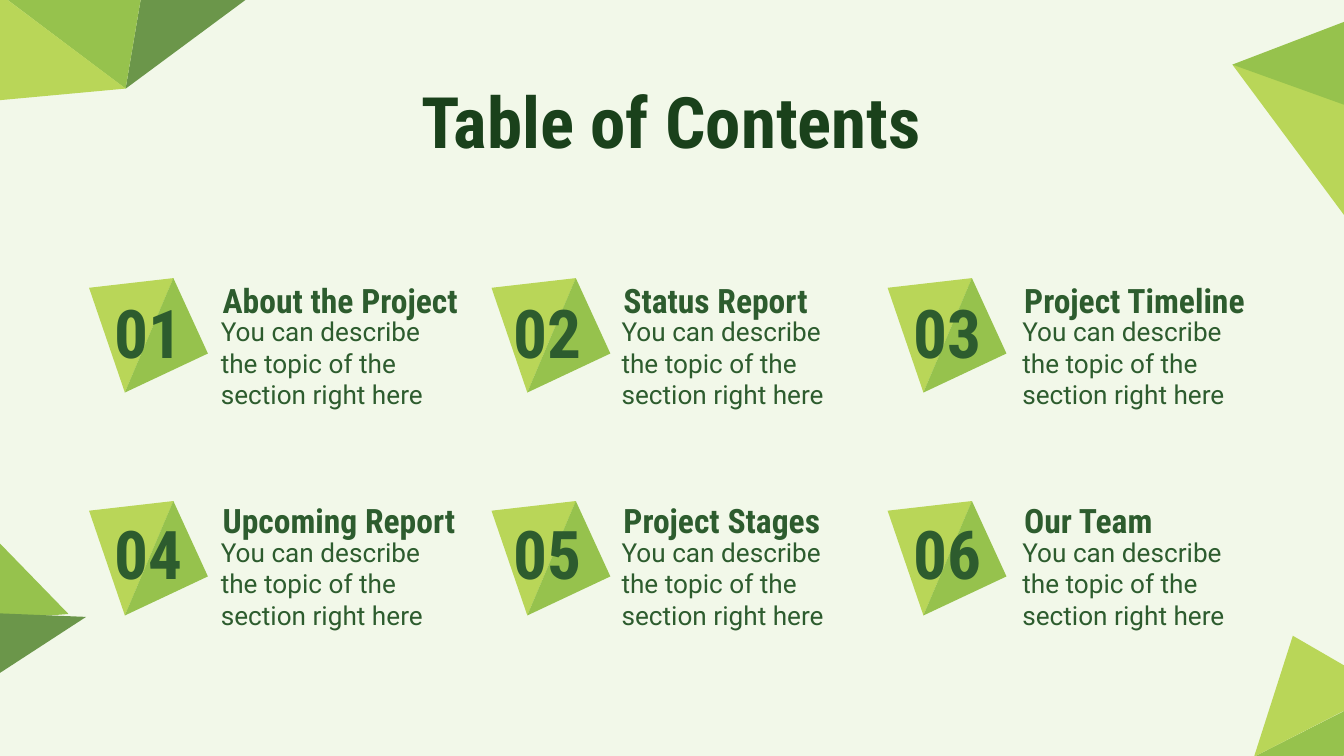
import dataclasses
import typing

import pptx
import pptx.dml.color
import pptx.enum.text
import pptx.util

Pt = pptx.util.Pt
Align = pptx.enum.text.PP_ALIGN
Anchor = pptx.enum.text.MSO_ANCHOR

COLORS = {
    "background": "F2F8E9",
    "lime": "B9D658",
    "leaf": "96C24D",
    "moss": "6B964A",
    "text": "2D5C2E",
    "title": "1A411B",
}
HEADING_FONT = "Roboto Condensed"
BODY_FONT = "Roboto"
DESCRIPTION = "You can describe the topic of the section right here"

Point = tuple[float, float]


@dataclasses.dataclass(frozen=True)
class Facet:
    color: str
    points: tuple[Point, ...]


@dataclasses.dataclass(frozen=True)
class TextStyle:
    font: str
    size: float
    color: str = "text"
    bold: bool = True
    align: Align = Align.LEFT
    anchor: Anchor = Anchor.MIDDLE
    line_spacing: float = 1.0
    space_after: float = 0


@dataclasses.dataclass(frozen=True)
class Area:
    left: float
    top: float
    width: float
    height: float


CORNER_FACETS = (
    Facet("leaf", ((705.6, 431.3), (737.3, 372.2), (671.8, 405.4))),
    Facet("lime", ((762.5, 57.6), (722.2, 118.1), (660.2, 34.6))),
    Facet("leaf", ((758.2, -2.9), (758.2, 69.8), (660.2, 34.6))),
    Facet("lime", ((692.6, 340.6), (671.8, 405.4), (742.3, 369.4))),
    Facet("moss", ((157.7, -19.4), (85, -56.9), (67.3, 47.5))),
    Facet("leaf", ((67.3, 47.5), (85, -56.9), (-3.6, -5.8))),
    Facet("lime", ((67.3, 47.5), (-10.8, 54.7), (-3.6, -5.8))),
    Facet("leaf", ((-20.9, 333.4), (-10.8, 280.1), (36.7, 329))),
    Facet("moss", ((-18, 372.2), (-24.5, 327.6), (46.1, 330.5))),
)
GEM_FACETS = (
    Facet("lime", ((45.2, 0), (0, 5.2), (19.2, 61.3))),
    Facet("leaf", ((45.2, 0), (63.7, 40.4), (19.2, 61.3))),
)

TITLE_STYLE = TextStyle(HEADING_FONT, 38, "title", align=Align.CENTER, anchor=Anchor.TOP)
NUMBER_STYLE = TextStyle(HEADING_FONT, 36, align=Align.CENTER)
HEADING_STYLE = TextStyle(HEADING_FONT, 18, line_spacing=0.8, space_after=16)
BODY_STYLE = TextStyle(BODY_FONT, 14, bold=False, anchor=Anchor.TOP)

SECTIONS = (
    ("About the Project", "Status Report", "Project Timeline"),
    ("Upcoming Report", "Project Stages", "Our Team"),
)
GEM_LEFTS = (47.7, 263.3, 475.5)
GEM_TOP, GEM_ROW_STEP = 149, 119.4
NUMBER_COLUMN_STEP, TEXT_COLUMN_STEP, TEXT_ROW_STEP = 213.9, 214.7, 118.1


def color_of(name: str) -> pptx.dml.color.RGBColor:
    return pptx.dml.color.RGBColor.from_string(COLORS[name])


def draw_facet(page: typing.Any, facet: Facet, left: float = 0, top: float = 0) -> None:
    corners = [(Pt(left + x), Pt(top + y)) for x, y in facet.points]
    builder = page.shapes.build_freeform(*corners[0], scale=1.0)
    builder.add_line_segments(corners[1:], close=True)
    shape = builder.convert_to_shape()
    shape.shadow.inherit = False
    shape.fill.solid()
    shape.fill.fore_color.rgb = color_of(facet.color)
    shape.line.fill.background()


def write_text(box: typing.Any, text: str, style: TextStyle) -> None:
    frame = box.text_frame
    frame.word_wrap = True
    frame.auto_size = pptx.enum.text.MSO_AUTO_SIZE.NONE
    frame.vertical_anchor = style.anchor
    frame.margin_left = frame.margin_right = Pt(7.2)
    frame.margin_top = frame.margin_bottom = Pt(7.2)
    para = frame.paragraphs[0]
    para.alignment = style.align
    para.line_spacing = style.line_spacing
    para.space_before = Pt(0)
    para.space_after = Pt(style.space_after)
    span = para.add_run()
    span.text = text
    span.font.name = style.font
    span.font.size = Pt(style.size)
    span.font.bold = style.bold
    span.font.color.rgb = color_of(style.color)


def add_text(page: typing.Any, area: Area, text: str, style: TextStyle) -> None:
    box = page.shapes.add_textbox(
        Pt(area.left), Pt(area.top), Pt(area.width), Pt(area.height)
    )
    write_text(box, text, style)


def draw_section(page: typing.Any, row: int, column: int, heading: str) -> None:
    number = row * len(GEM_LEFTS) + column + 1
    for facet in GEM_FACETS:
        draw_facet(page, facet, GEM_LEFTS[column], GEM_TOP + row * GEM_ROW_STEP)
    across = column * TEXT_COLUMN_STEP
    down = row * TEXT_ROW_STEP
    number_left = 51.1 + column * NUMBER_COLUMN_STEP
    add_text(page, Area(number_left, 162.7 + down, 56.9, 30.2), f"{number:02}", NUMBER_STYLE)
    add_text(page, Area(112.2 + across, 141.1 + down, 176.4, 43.2), heading, HEADING_STYLE)
    add_text(page, Area(111.2 + across, 162 + down, 131, 55.4), DESCRIPTION, BODY_STYLE)


def main() -> None:
    deck = pptx.Presentation()
    deck.slide_width, deck.slide_height = Pt(720), Pt(405)
    page = deck.slides.add_slide(deck.slide_layouts.get_by_name("Title Only"))
    page.background.fill.solid()
    page.background.fill.fore_color.rgb = color_of("background")

    for facet in CORNER_FACETS:
        draw_facet(page, facet)

    title = page.shapes.title
    title.left, title.top = Pt(48.2), Pt(34.6)
    title.width, title.height = Pt(622.8), Pt(45.4)
    write_text(title, "Table of Contents", TITLE_STYLE)

    for row, headings in enumerate(SECTIONS):
        for column, heading in enumerate(headings):
            draw_section(page, row, column, heading)

    deck.save("out.pptx")


if __name__ == "__main__":
    main()
